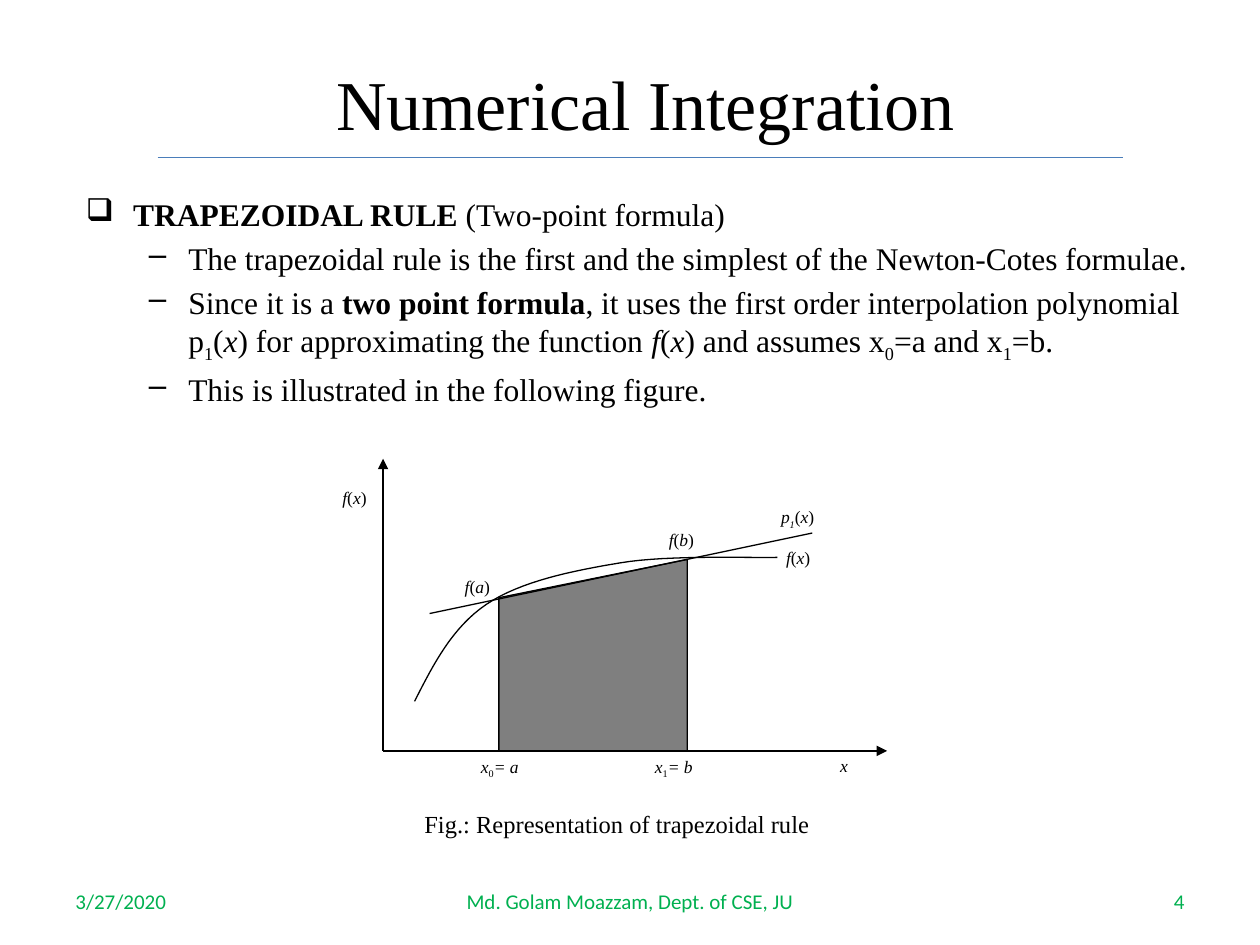
from lxml import etree
from pptx import Presentation
from pptx.dml.color import RGBColor
from pptx.enum.shapes import MSO_CONNECTOR, MSO_SHAPE
from pptx.enum.text import MSO_ANCHOR, PP_ALIGN
from pptx.oxml.ns import qn
from pptx.util import Pt

LEFT, MID, RIGHT, JUST = (PP_ALIGN.LEFT, PP_ALIGN.CENTER,
                          PP_ALIGN.RIGHT, PP_ALIGN.JUSTIFY)


def color(code):
    return RGBColor.from_string(code)


def write(para, runs, size=10, font="Times New Roman", ink="000000", align=LEFT):
    """Runs are (text, marks); marks are b bold, i italic, s subscript."""
    para.alignment = align
    for words, marks in runs:
        run = para.add_run()
        run.text = words
        run.font.size, run.font.name = Pt(size), font
        run.font.color.rgb = color(ink)
        run.font.bold, run.font.italic = "b" in marks, "i" in marks
        if "s" in marks:
            run.font._element.set("baseline", "-25000")


def bullet(para, sign, left, hang):
    props = para._p.get_or_add_pPr()
    props.set("marL", str(Pt(left)))
    props.set("indent", str(-Pt(hang)))
    etree.SubElement(props, qn("a:buChar")).set("char", sign)


def bezier(start, parts, steps=16):
    """Points along a chain of cubic curves."""
    spots = [start]
    for one, two, end in parts:
        for n in range(1, steps + 1):
            t = n / steps
            u = 1 - t
            spots.append(tuple(
                u**3 * a + 3 * u * u * t * b + 3 * u * t * t * c + t**3 * d
                for a, b, c, d in zip(start, one, two, end)))
        start = end
    return spots


class Page:
    ink = "000000"
    width = 0.75

    def __init__(self, deck):
        self.slide = deck.slides.add_slide(deck.slide_layouts[6])
        self.shapes = self.slide.shapes

    def frame(self, x, y, w, h, anchor=MSO_ANCHOR.TOP):
        frame = self.shapes.add_textbox(Pt(x), Pt(y), Pt(w), Pt(h)).text_frame
        frame.word_wrap = True
        frame.vertical_anchor = anchor
        return frame

    def text(self, x, y, w, h, runs, anchor=MSO_ANCHOR.TOP, **form):
        write(self.frame(x, y, w, h, anchor).paragraphs[0], runs, **form)

    def list(self, x, y, w, h, items, size):
        frame = self.frame(x, y, w, h)
        for n, (level, runs) in enumerate(items):
            para = frame.add_paragraph() if n else frame.paragraphs[0]
            if level:
                para.level = level
                bullet(para, "–", 58.5, 22.5)
            else:
                bullet(para, "❑", 27, 27)
            if n:
                para.space_before = Pt(3.6)
            write(para, runs, size=size)

    def line(self, x1, y1, x2, y2, ink=ink, arrow=False):
        line = self.shapes.add_connector(
            MSO_CONNECTOR.STRAIGHT, Pt(x1), Pt(y1), Pt(x2), Pt(y2))
        line.line.color.rgb = color(ink)
        line.line.width = Pt(self.width)
        if arrow:
            etree.SubElement(line.line._get_or_add_ln(),
                             qn("a:tailEnd")).set("type", "triangle")
        etree.SubElement(line._element.spPr, qn("a:effectLst"))

    def style(self, shape, fill=None):
        shape.shadow.inherit = False
        if fill:
            shape.fill.solid()
            shape.fill.fore_color.rgb = color(fill)
        else:
            shape.fill.background()
        shape.line.color.rgb = color(self.ink)
        shape.line.width = Pt(self.width)

    def curve(self, spots):
        dots = [(Pt(x), Pt(y)) for x, y in spots]
        form = self.shapes.build_freeform(*dots[0])
        form.add_line_segments(dots[1:], close=False)
        self.style(form.convert_to_shape())

    def shape(self, kind, x, y, w, h, fill):
        self.style(self.shapes.add_shape(kind, Pt(x), Pt(y), Pt(w), Pt(h)), fill)


def func(arg):
    return [("f", "i"), ("(", ""), (arg, "i"), (")", "")]


def main():
    deck = Presentation()
    deck.slide_width, deck.slide_height = Pt(720), Pt(540)
    page = Page(deck)

    # Title and rule
    page.text(96, 27, 546, 63, [("Numerical Integration", "")],
              anchor=MSO_ANCHOR.MIDDLE, size=40, align=MID)
    page.line(90, 90, 642, 90, ink="4A7DBA")

    # Bullets
    page.list(42, 108, 648, 408, [
        (0, [("TRAPEZOIDAL RULE ", "b"), ("(Two-point formula)", "")]),
        (1, [("The trapezoidal rule is the first and the simplest of the "
              "Newton-Cotes formulae.", "")]),
        (1, [("Since it is a ", ""), ("two point formula", "b"),
             (", it uses the first order interpolation polynomial p", ""),
             ("1", "s"), ("(", ""), ("x", "i"),
             (") for approximating the function ", ""), *func("x"),
             (" and assumes x", ""), ("0", "s"), ("=a and x", ""),
             ("1", "s"), ("=b.", "")]),
        (1, [("This is illustrated in the following figure.", "")]),
    ], size=18)

    # Footer
    for x, w, words, align in [
            (36, 168, "3/27/2020", LEFT),
            (246, 228, "Md. Golam Moazzam, Dept. of CSE, JU", MID),
            (516, 168, "4", RIGHT)]:
        page.text(x, 500.4, w, 28.8, [(words, "")], anchor=MSO_ANCHOR.MIDDLE,
                  size=12, font="Calibri", ink="00B050", align=align)

    # Axes, curve, area and chord
    left, base = 218.9, 429.1
    page.line(left, base, 506.9, base, arrow=True)
    page.line(left, base, left, 262.1, arrow=True)
    page.curve(bezier((236.9, 400.8), [
        ((247.7, 379.5), (258.5, 358.5), (277.9, 345.4)),
        ((297.4, 332.2), (326.9, 326.2), (354.7, 321.6)),
        ((382.3, 317), (429.1, 318.9), (444.2, 318.5))]))
    page.shape(MSO_SHAPE.FLOWCHART_MANUAL_INPUT,
               285.1, 319.7, 107.6, base - 319.7, "7F7F7F")
    page.line(245.5, 350.6, 464.2, 304.6)

    # Labels
    for x, y, w, runs in [
            (267.8, 428.4, 40.3, [("x", "i"), ("0", "s"), ("= a", "i")]),
            (367.2, 428.4, 40.3, [("x", "i"), ("1", "s"), ("= b", "i")]),
            (473, 427.7, 25.2, [("x", "i")]),
            (188.6, 275, 36, func("x")),
            (442.1, 308.9, 36, func("x")),
            (258.5, 325.4, 33.1, func("a")),
            (375.1, 298.8, 33.1, func("b")),
            (439.2, 285.8, 44.6, [("p", "i"), ("1", "is"), *func("x")[1:]])]:
        page.text(x, y, w, 28.8, runs, align=JUST)

    # Caption
    page.text(235.4, 458.6, 244.1, 28.8,
              [("Fig.: Representation of trapezoidal rule", "")],
              size=14, align=JUST)

    deck.save("out.pptx")


if __name__ == "__main__":
    main()
